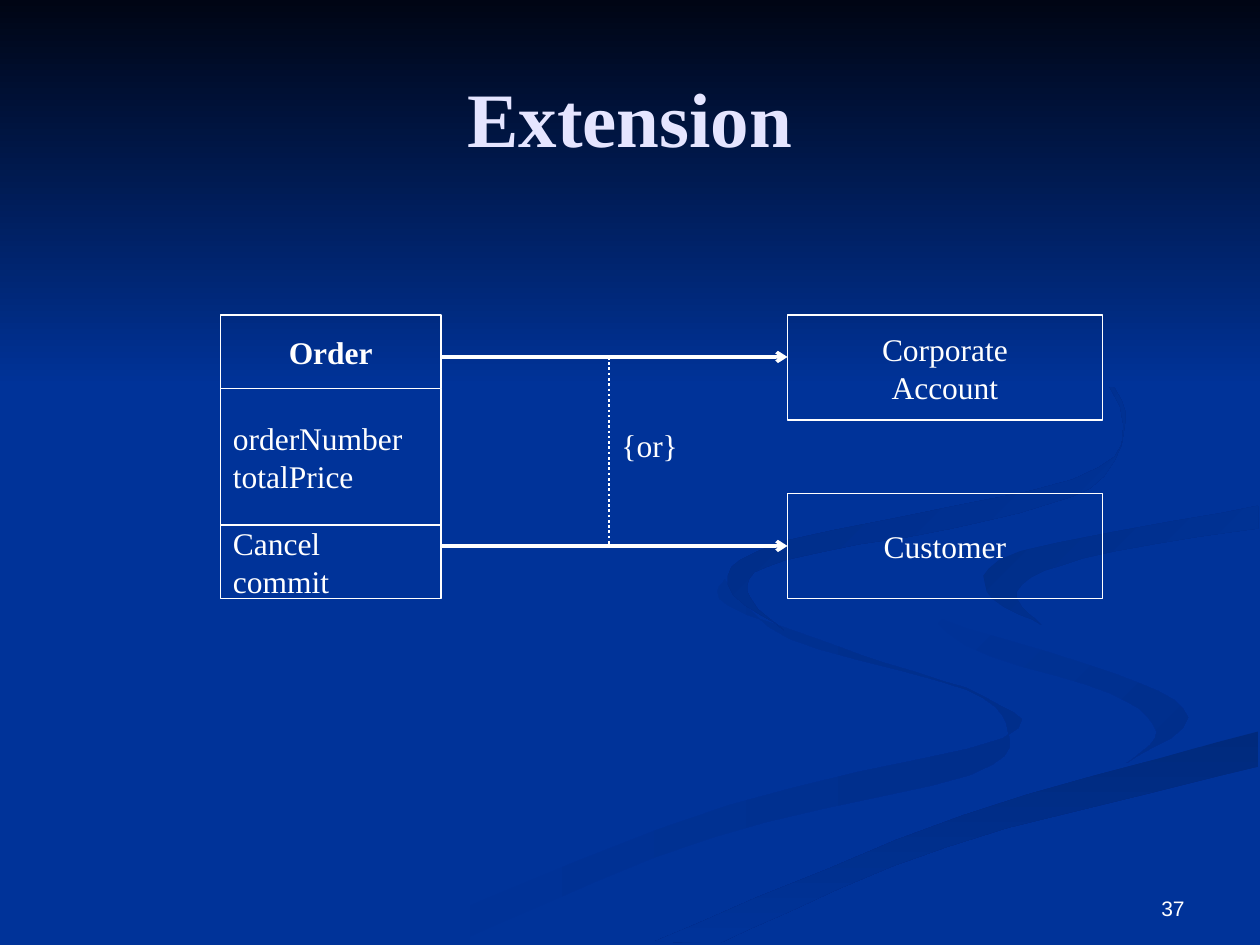
from lxml import etree
from pptx import Presentation
from pptx.dml.color import RGBColor
from pptx.enum.dml import MSO_LINE
from pptx.enum.shapes import MSO_CONNECTOR, MSO_SHAPE
from pptx.enum.text import MSO_ANCHOR, PP_ALIGN
from pptx.oxml.ns import qn
from pptx.util import Pt

STRAIGHT = MSO_CONNECTOR.STRAIGHT
RECTANGLE = MSO_SHAPE.RECTANGLE
DOTTED = MSO_LINE.ROUND_DOT
LEFT, CENTER, RIGHT = PP_ALIGN.LEFT, PP_ALIGN.CENTER, PP_ALIGN.RIGHT
TOP, MIDDLE, BOTTOM = MSO_ANCHOR.TOP, MSO_ANCHOR.MIDDLE, MSO_ANCHOR.BOTTOM

SERIF, SANS = "Times New Roman", "Arial"
WHITE, LAVENDER, BLUE, NIGHT = "FFFFFF", "E5E5FF", "003399", "000514"
LEFT_SIDE = 1
PAGE_WIDTH, PAGE_HEIGHT = 720, 540
CURVE_STEPS = 5

# Gradient start and end, clockwise angle, and the two edges of each ribbon
RIBBONS = [
    (BLUE, "002E8B", 0,
     [(414, 331), (416, 346), (491, 374), (562, 398), (573, 422), (417, 460), (216, 539)],
     [(260, 539), (406, 479), (554, 443), (576, 418), (552, 394), (451, 365), (414, 331)]),
    (BLUE, "002E8B", 45,
     [(521, 334), (536, 353), (637, 385), (679, 410), (644, 436)],
     [(644, 436), (661, 418), (634, 396), (552, 369), (521, 334)]),
    ("002A7D", BLUE, 90,
     [(719, 418), (550, 466), (374, 538)],
     [(411, 539), (541, 484), (719, 438)]),
    ("002D86", BLUE, 45,
     [(719, 289), (583, 315), (564, 338), (595, 357)],
     [(595, 357), (581, 338), (619, 319), (719, 302)]),
    ("002B82", BLUE, 45,
     [(549, 168), (622, 209), (643, 241), (613, 274), (449, 309), (416, 334), (448, 360)],
     [(448, 360), (427, 338), (449, 320), (566, 297), (631, 272), (634, 221), (549, 168)]),
]


def color(hex_string):
    return RGBColor.from_string(hex_string)


def smooth(points):
    """Trace a Catmull-Rom curve through the points."""
    padded = [points[0], *points, points[-1]]
    curve = []
    for a, b, c, d in zip(padded, padded[1:], padded[2:], padded[3:]):
        for step in range(CURVE_STEPS):
            t = step / CURVE_STEPS
            curve.append(tuple(
                q + t / 2 * (r - p + t * (2 * p - 5 * q + 4 * r - s
                                          + t * (3 * (q - r) + s - p)))
                for p, q, r, s in zip(a, b, c, d)))
    return curve + [points[-1]]


def fill_gradient(shape, start, end, clockwise_angle):
    shape.shadow.inherit = False
    shape.line.fill.background()
    shape.fill.gradient()
    shape.fill.gradient_angle = (360 - clockwise_angle) % 360
    for stop, hex_string in zip(shape.fill.gradient_stops, (start, end)):
        stop.color.rgb = color(hex_string)


def write_lines(shape, lines, size=18, font=SERIF, hex_string=WHITE,
                bold=False, align=LEFT, anchor=MIDDLE):
    frame = shape.text_frame
    frame.text = "\n".join(lines)
    frame.word_wrap = True
    frame.vertical_anchor = anchor
    for paragraph in frame.paragraphs:
        paragraph.alignment = align
        for run in paragraph.runs:
            run.font.size = Pt(size)
            run.font.name = font
            run.font.bold = bold
            run.font.color.rgb = color(hex_string)


def add_backdrop(slide, left, top, width, height):
    slide.background.fill.solid()
    slide.background.fill.fore_color.rgb = color(BLUE)
    for start, end, angle, first_edge, second_edge in RIBBONS:
        outline = smooth(first_edge) + smooth(second_edge)
        builder = slide.shapes.build_freeform(*outline[0], scale=Pt(1))
        builder.add_line_segments(outline[1:], close=True)
        ribbon = builder.convert_to_shape(Pt(left), Pt(top))
        fill_gradient(ribbon, start, end, angle)
    sky = slide.shapes.add_shape(RECTANGLE, Pt(left), Pt(top), Pt(width), Pt(height * 0.41))
    fill_gradient(sky, NIGHT, BLUE, 90)


def place_title(slide, text, left, top, width, height):
    title = slide.shapes.title
    title.left, title.top, title.width, title.height = map(Pt, (left, top, width, height))
    write_lines(title, [text], 44, hex_string=LAVENDER, bold=True, align=CENTER)
    slide.shapes._spTree.append(title._element)  # in front of the backdrop


def add_box(slide, lines, left, top, width, height, **text_format):
    box = slide.shapes.add_shape(RECTANGLE, Pt(left), Pt(top), Pt(width), Pt(height))
    box.shadow.inherit = False
    box.fill.background()
    box.line.color.rgb = color(WHITE)
    box.line.width = Pt(0.75)
    write_lines(box, lines, **text_format)
    return box


def add_label(slide, text, left, top, width, height, **text_format):
    label = slide.shapes.add_textbox(Pt(left), Pt(top), Pt(width), Pt(height))
    write_lines(label, [text], **text_format)
    return label


def add_line(slide, start, end, width):
    line = slide.shapes.add_connector(STRAIGHT, *map(Pt, start + end))
    line.line.color.rgb = color(WHITE)
    line.line.width = Pt(width)
    etree.SubElement(line._element.spPr, qn("a:effectLst"))
    return line


def add_arrow(slide, start, end):
    arrow = add_line(slide, start, end, 2)
    etree.SubElement(arrow.line._get_or_add_ln(), qn("a:tailEnd"), type="arrow")
    return arrow


def add_class_box(slide, left, top, width, height):
    """Stack name, attributes and operations in one UML class."""
    compartments = [
        (["Order"], 7, {"bold": True, "align": CENTER}),
        (["orderNumber", "totalPrice"], 13, {}),
        (["Cancel", "commit"], 7, {}),
    ]
    unit = height / sum(share for _, share, _ in compartments)
    for lines, share, text_format in compartments:
        add_box(slide, lines, left, top, width, share * unit, **text_format)
        top += share * unit


def add_diagram(slide, left, top, width, height):
    class_width, target_width, target_height = 126, 180, 60
    class_right, target_left = left + class_width, left + width - target_width
    upper, lower = top + 24, top + height - target_height / 2
    add_class_box(slide, left, top, class_width, height)
    add_box(slide, ["Corporate", "Account"], target_left, top,
            target_width, target_height, align=CENTER)
    customer = add_box(slide, ["Customer"], target_left, top + height - target_height,
                       target_width, target_height, align=CENTER)

    add_arrow(slide, (class_right, upper), (target_left, upper))
    customer_arrow = add_arrow(slide, (class_right, lower), (target_left, lower))
    customer_arrow.end_connect(customer, LEFT_SIDE)

    choice = left + 222
    add_line(slide, (choice, upper), (choice, lower), 1.5).line.dash_style = DOTTED
    label = add_label(slide, "{or}", choice, top + 60, 48, 50, anchor=TOP)
    label.text_frame.paragraphs[0].space_before = Pt(11.2)


def main():
    presentation = Presentation()
    presentation.slide_width, presentation.slide_height = Pt(PAGE_WIDTH), Pt(PAGE_HEIGHT)
    slide = presentation.slides.add_slide(presentation.slide_layouts[5])
    add_backdrop(slide, 0, 0, PAGE_WIDTH, PAGE_HEIGHT)
    place_title(slide, "Extension", 36, 21.6, 648, 90)
    add_diagram(slide, 126, 180, 504, 162)
    add_label(slide, "37", 516, 492, 168, 37.5, size=12, font=SANS,
              align=RIGHT, anchor=BOTTOM)
    presentation.save("out.pptx")


if __name__ == "__main__":
    main()
